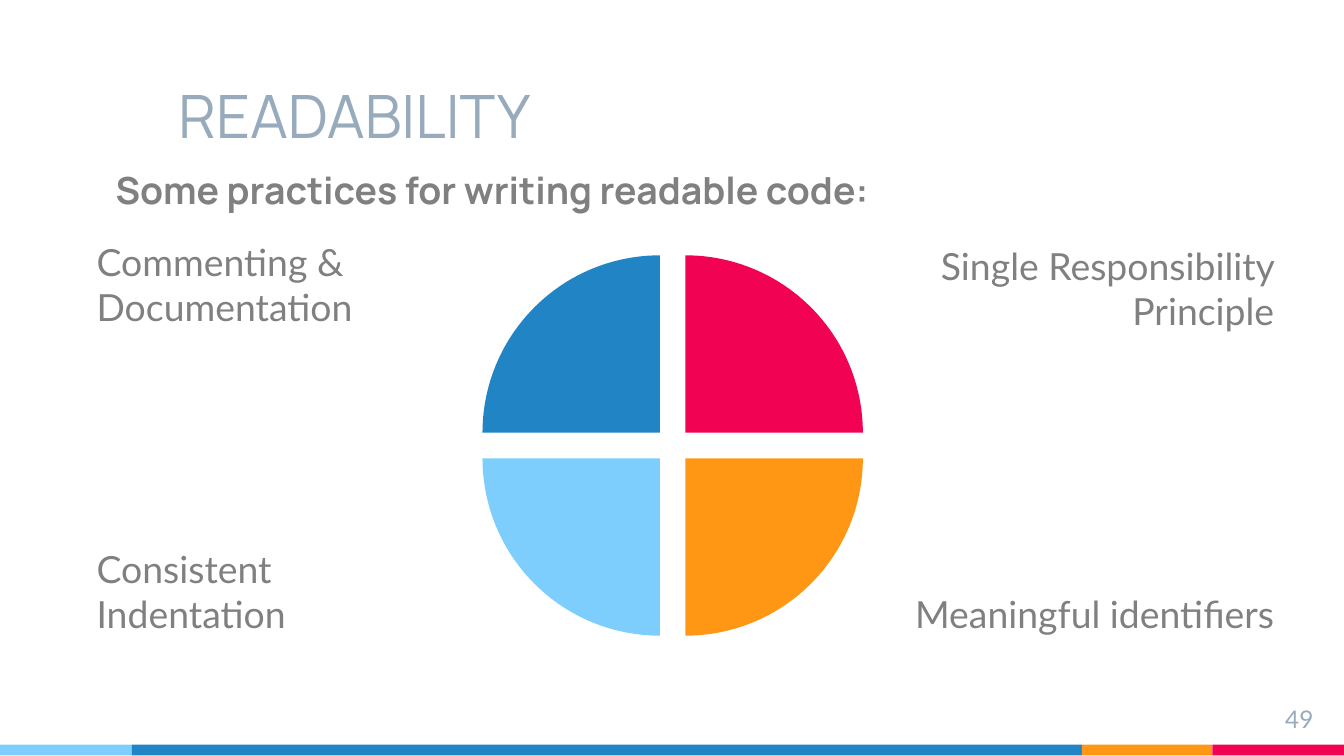
from dataclasses import dataclass

from pptx import Presentation
from pptx.dml.color import RGBColor
from pptx.enum.shapes import MSO_SHAPE
from pptx.enum.text import MSO_ANCHOR, MSO_AUTO_SIZE, PP_ALIGN
from pptx.util import Inches, Pt

RECTANGLE, PIE = MSO_SHAPE.RECTANGLE, MSO_SHAPE.PIE
TOP, BOTTOM = MSO_ANCHOR.TOP, MSO_ANCHOR.BOTTOM
LEFT, RIGHT = PP_ALIGN.LEFT, PP_ALIGN.RIGHT
NO_AUTOFIT = MSO_AUTO_SIZE.NONE

WHITE = RGBColor(0xFF, 0xFF, 0xFF)
GRAY = RGBColor(0x80, 0x80, 0x80)
BLUE_GRAY = RGBColor(0x97, 0xAB, 0xBC)
BLUE = RGBColor(0x21, 0x85, 0xC5)
LIGHT_BLUE = RGBColor(0x7E, 0xCE, 0xFD)
ORANGE = RGBColor(0xFF, 0x97, 0x15)
RED = RGBColor(0xF2, 0x02, 0x53)

HEADING_FONT, BODY_FONT = "Manrope", "Lato"
SLIDE_WIDTH = 10
SLIDE_HEIGHT = SLIDE_WIDTH * 9 / 16
INSET, WIDE_INSET = 0.1, 1.5
PIE_SIZE = 2.64


@dataclass(frozen=True)
class Box:
    left: float
    top: float
    width: float
    height: float

    def lengths(self) -> tuple:
        return tuple(map(Inches, (self.left, self.top, self.width, self.height)))


@dataclass(frozen=True)
class TextStyle:
    font: str
    size: int
    color: RGBColor
    bold: bool = False
    align: PP_ALIGN = LEFT
    anchor: MSO_ANCHOR = BOTTOM


@dataclass(frozen=True)
class Practice:
    text: str
    box: Box
    align: PP_ALIGN
    anchor: MSO_ANCHOR


@dataclass(frozen=True)
class Quadrant:
    left: float
    top: float
    rotation: int
    color: RGBColor


PRACTICES = [
    Practice("Commenting & Documentation", Box(0.62, 1.68, 4.29, 1.54), LEFT, TOP),
    Practice("Single Responsibility Principle", Box(5.1, 1.71, 4.48, 1.51), RIGHT, TOP),
    Practice("Consistent Indentation", Box(0.62, 3.41, 4.29, 1.42), LEFT, BOTTOM),
    Practice("Meaningful identifiers", Box(5.1, 3.41, 4.48, 1.42), RIGHT, BOTTOM),
]
# Clockwise from the upper left
QUADRANTS = [
    Quadrant(3.59, 1.9, 0, BLUE),
    Quadrant(3.78, 1.9, 90, RED),
    Quadrant(3.78, 2.09, 180, ORANGE),
    Quadrant(3.59, 2.09, 270, LIGHT_BLUE),
]
STRIPE_WIDTHS = [(0.98, LIGHT_BLUE), (7.07, BLUE), (0.97, ORANGE), (0.98, RED)]


def write_text(shape, text: str, style: TextStyle,
               left_inset: float = INSET, right_inset: float = INSET) -> None:
    frame = shape.text_frame
    frame.text = text
    frame.word_wrap = True
    frame.auto_size = NO_AUTOFIT
    frame.vertical_anchor = style.anchor
    frame.margin_left, frame.margin_right = Inches(left_inset), Inches(right_inset)
    frame.margin_top = frame.margin_bottom = Inches(INSET)
    paragraph = frame.paragraphs[0]
    paragraph.alignment = style.align
    font = paragraph.runs[0].font
    font.name, font.size, font.bold = style.font, Pt(style.size), style.bold
    font.color.rgb = style.color


def add_filled(slide, kind: MSO_SHAPE, box: Box, color: RGBColor):
    shape = slide.shapes.add_shape(kind, *box.lengths())
    shape.shadow.inherit = False
    shape.fill.solid()
    shape.fill.fore_color.rgb = color
    shape.line.fill.background()
    return shape


def add_label(slide, text: str, box: Box, style: TextStyle) -> None:
    write_text(slide.shapes.add_textbox(*box.lengths()), text, style)


def add_practice(slide, practice: Practice) -> None:
    panel = add_filled(slide, RECTANGLE, practice.box, WHITE)
    style = TextStyle(BODY_FONT, 20, GRAY, align=practice.align, anchor=practice.anchor)
    insets = (INSET, WIDE_INSET) if practice.align == LEFT else (WIDE_INSET, INSET)
    write_text(panel, practice.text, style, *insets)
    if practice.anchor == BOTTOM:
        panel.text_frame.paragraphs[0].space_before = Pt(6)


def add_quadrant(slide, quadrant: Quadrant) -> None:
    box = Box(quadrant.left, quadrant.top, PIE_SIZE, PIE_SIZE)
    wedge = add_filled(slide, PIE, box, quadrant.color)
    # Angles from 180 to 270 degrees
    wedge.adjustments[0], wedge.adjustments[1] = 108, 162
    wedge.rotation = quadrant.rotation


def main() -> None:
    presentation = Presentation()
    presentation.slide_width = Inches(SLIDE_WIDTH)
    presentation.slide_height = Inches(SLIDE_HEIGHT)
    slide = presentation.slides.add_slide(presentation.slide_layouts[5])

    # Footer stripe
    stripe_left = 0
    for width, color in STRIPE_WIDTHS:
        add_filled(slide, RECTANGLE, Box(stripe_left, 5.54, width, 0.08), color)
        stripe_left += width

    # Introductory title and page number
    intro = slide.shapes.title
    intro.left, intro.top, intro.width, intro.height = Box(0.76, 0.74, 7.65, 0.94).lengths()
    write_text(intro, "Some practices for writing readable code:",
               TextStyle(HEADING_FONT, 20, GRAY, bold=True))
    add_label(slide, "49", Box(9.27, 5.14, 0.6, 0.34),
              TextStyle(BODY_FONT, 13, BLUE_GRAY, align=RIGHT, anchor=TOP))

    # Practices around the divided circle
    for practice in PRACTICES:
        add_practice(slide, practice)
    for quadrant in QUADRANTS:
        add_quadrant(slide, quadrant)

    # Topic heading
    add_label(slide, "READABILITY", Box(1.23, 0.28, 8.34, 0.94),
              TextStyle(HEADING_FONT, 32, BLUE_GRAY))

    presentation.save("out.pptx")


if __name__ == "__main__":
    main()
